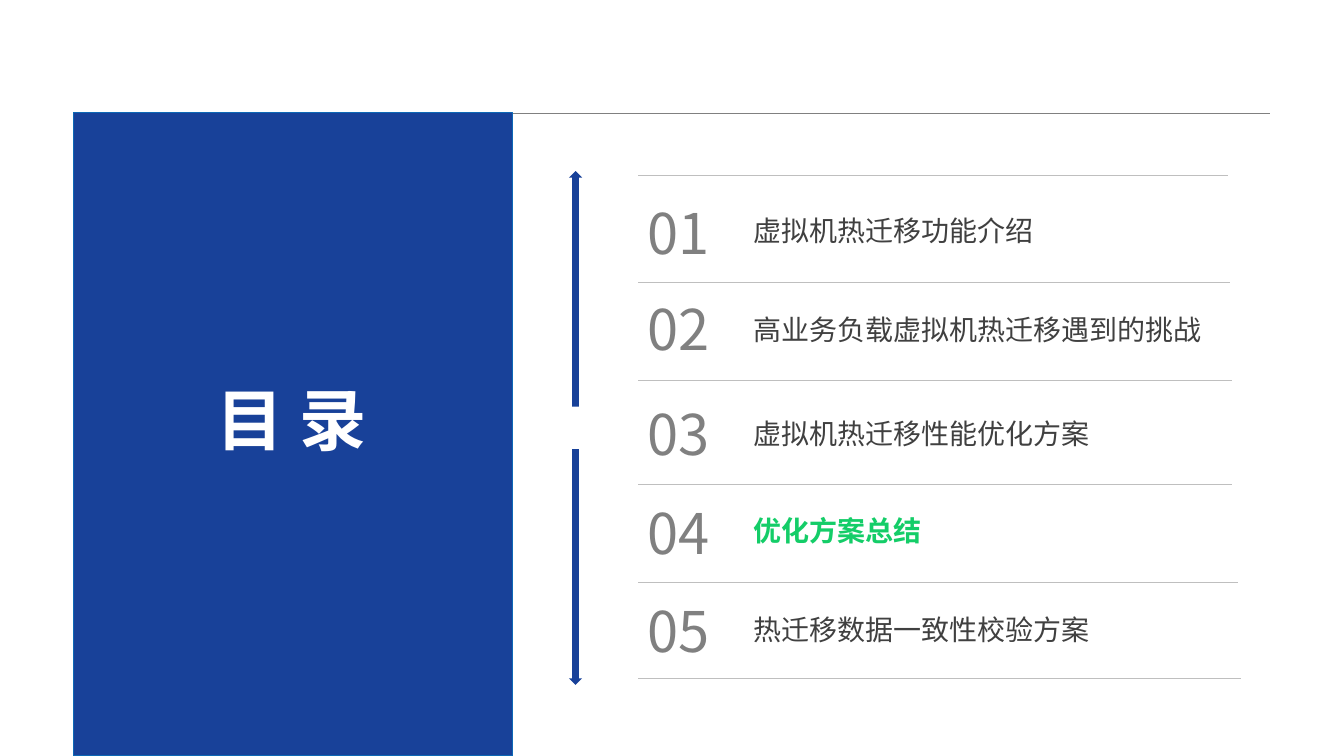
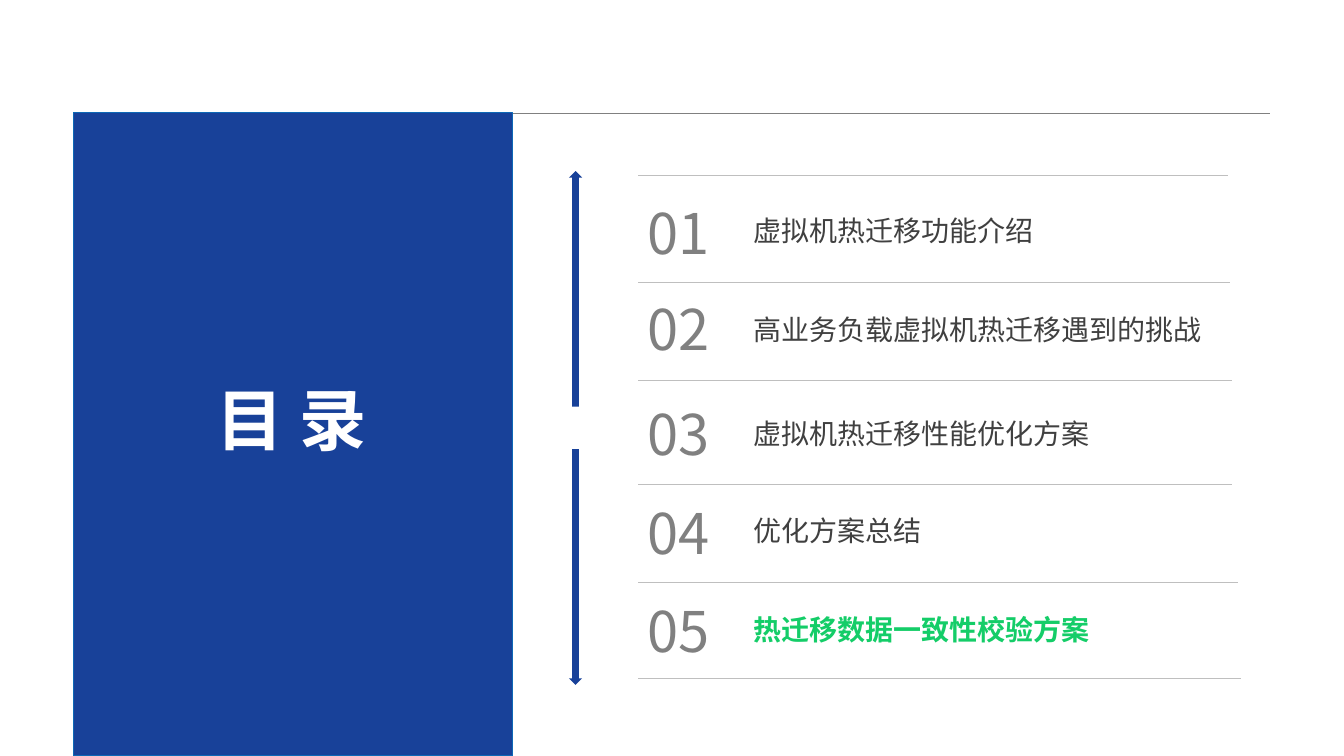
from lxml import etree
from pptx import Presentation
from pptx.dml.color import RGBColor
from pptx.enum import shapes, text
from pptx.oxml import ns
from pptx.util import Cm, Pt

FONT = "Noto Sans CJK SC"
BLUE = RGBColor(0x18, 0x41, 0x99)
BORDER_BLUE = RGBColor(0x0D, 0x68, 0xB6)
GREEN = RGBColor(0x14, 0xCD, 0x68)
DARK_GRAY = RGBColor(0x40, 0x40, 0x40)
GRAY = RGBColor(0x80, 0x80, 0x80)
LIGHT_GRAY = RGBColor(0xBF, 0xBF, 0xBF)
WHITE = RGBColor(0xFF, 0xFF, 0xFF)

PANEL = (1.85, 2.84, 11.07, 16.21)
RULE_LEFT, NUMBER_LEFT, ENTRY_LEFT = 16.08, 16.13, 18.8

# Entry text, top of its number, top of its text
ENTRIES = [
    ("虚拟机热迁移功能介绍", 4.9, 5.28),
    ("高业务负载虚拟机热迁移遇到的挑战", 7.32, 7.77),
    ("虚拟机热迁移性能优化方案", 9.96, 10.39),
    ("优化方案总结", 12.45, 12.85),
    ("热迁移数据一致性校验方案", 14.94, 15.34),
]
# Height and right end of each separator
RULES = [(4.43, 30.94), (7.11, 30.99), (9.59, 31.06),
         (12.2, 31.06), (14.67, 31.19), (17.09, 31.27)]

TITLE = {"size": Pt(48), "bold": True}
NUMBER = {"size": Pt(40), "bold": False}
ENTRY = {"size": Pt(20), "bold": False}
ACTIVE_ENTRY = {**ENTRY, "bold": True}

TITLE_FRAME = {"word_wrap": False}
LIST_FRAME = {
    "word_wrap": True,
    "margin_left": Cm(0.18), "margin_right": Cm(0.18),
    "margin_top": Cm(0.1), "margin_bottom": Cm(0.1),
}


def set_attributes(target, values):
    for name, value in values.items():
        setattr(target, name, value)


class AgendaDeck:
    def __init__(self):
        self.presentation = Presentation()
        self.presentation.slide_width = Cm(33.87)
        self.presentation.slide_height = Cm(19.05)
        self.slide = None

    def add_slide(self):
        blank = self.presentation.slide_layouts[6]
        self.slide = self.presentation.slides.add_slide(blank)

    def add_rule(self, left, right, top, color, width):
        rule = self.slide.shapes.add_connector(
            shapes.MSO_CONNECTOR.STRAIGHT, Cm(left), Cm(top), Cm(right), Cm(top))
        rule.line.color.rgb = color
        rule.line.width = Pt(width)
        etree.SubElement(rule._element.spPr, ns.qn("a:effectLst"))

    def add_block(self, preset, box, border=None):
        """Add a solid blue shape, outlined only if a border colour is given."""
        shape = self.slide.shapes.add_shape(preset, *map(Cm, box))
        shape.shadow.inherit = False
        shape.fill.solid()
        shape.fill.fore_color.rgb = BLUE
        if border is None:
            shape.line.fill.background()
        else:
            shape.line.color.rgb = border
            shape.line.width = Pt(1)

    def add_text(self, content, box, color, font, frame_format):
        frame = self.slide.shapes.add_textbox(*map(Cm, box)).text_frame
        set_attributes(frame, frame_format)
        frame.auto_size = text.MSO_AUTO_SIZE.SHAPE_TO_FIT_TEXT
        run = frame.paragraphs[0].add_run()
        run.text = content
        set_attributes(run.font, {**font, "name": FONT})
        run.font.color.rgb = color
        east_asian = etree.SubElement(run._r.get_or_add_rPr(), ns.qn("a:ea"))
        east_asian.set("typeface", FONT)

    def add_agenda(self, active):
        """Add a contents slide with entry number `active` highlighted."""
        self.add_slide()
        self.add_rule(PANEL[0], 32, PANEL[1], GRAY, 0.25)
        self.add_block(shapes.MSO_SHAPE.RECTANGLE, PANEL, BORDER_BLUE)
        self.add_text("目 录", (5.21, 9.42, 4.45, 2.31), WHITE, TITLE, TITLE_FRAME)
        for preset, top in ((shapes.MSO_SHAPE.UP_ARROW, 4.31),
                            (shapes.MSO_SHAPE.DOWN_ARROW, 11.32)):
            self.add_block(preset, (14.34, top, 0.33, 5.94))
        for top, right in RULES:
            self.add_rule(RULE_LEFT, right, top, LIGHT_GRAY, 0.5)
        for number, (entry, number_top, entry_top) in enumerate(ENTRIES, 1):
            self.add_text(f"{number:02}", (NUMBER_LEFT, number_top, 2.29, 1.9),
                          GRAY, NUMBER, LIST_FRAME)
            color, font = (GREEN, ACTIVE_ENTRY) if number == active else (DARK_GRAY, ENTRY)
            self.add_text(entry, (ENTRY_LEFT, entry_top, 11.84, 1.04),
                          color, font, LIST_FRAME)


def main():
    deck = AgendaDeck()
    for active in (4, 5):
        deck.add_agenda(active)
    deck.presentation.save("out.pptx")


if __name__ == "__main__":
    main()
